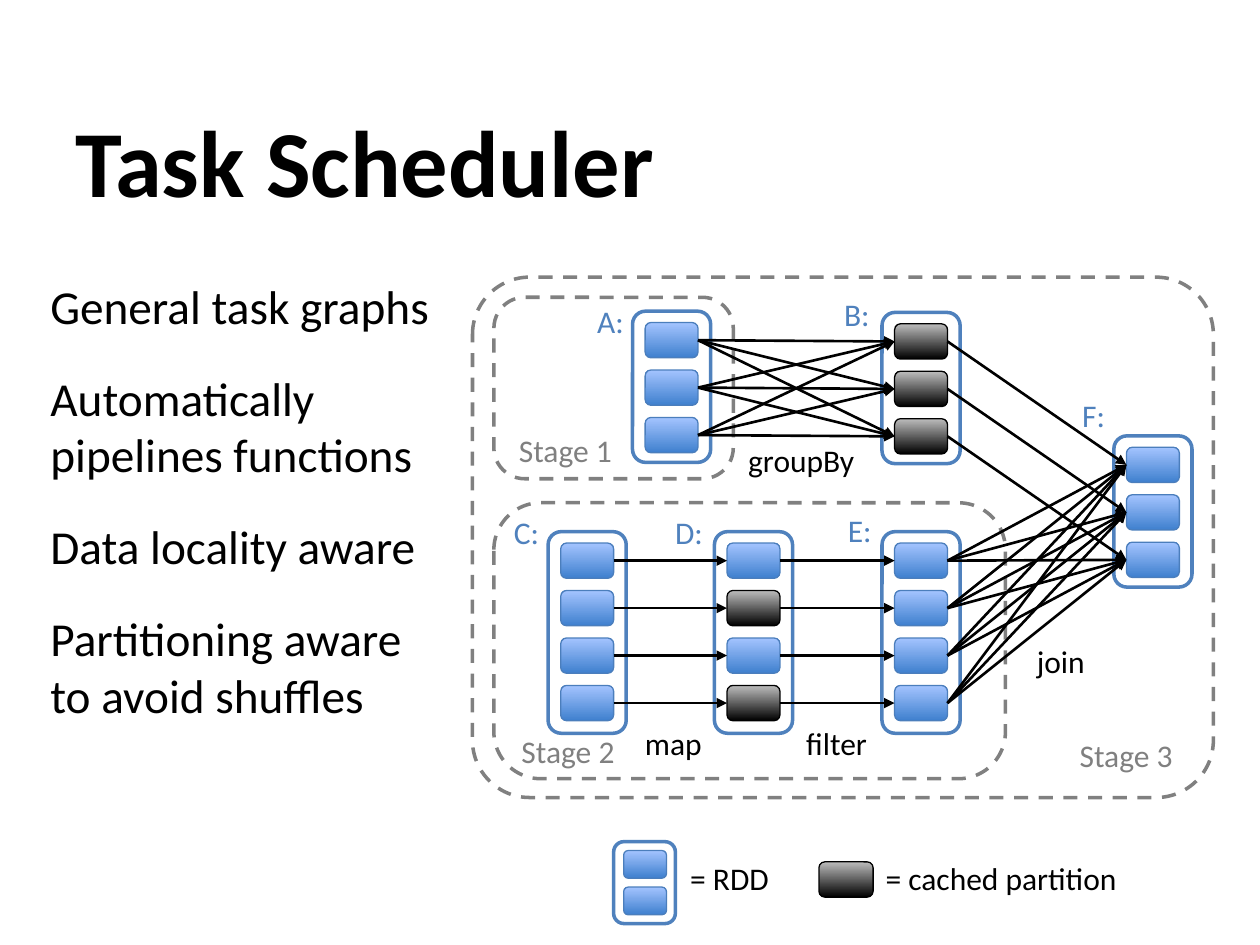
import itertools

import pptx
import pptx.dml.color
import pptx.enum.dml
import pptx.enum.shapes
import pptx.enum.text
import pptx.oxml.ns
import pptx.oxml.xmlchemy
import pptx.util

COLORS = {
    "text": "000000",
    "muted": "808080",
    "accent": "4F81BD",
    "white": "FFFFFF",
    "partition_dark": "3F80CE",
    "partition_light": "A4C4FF",
    "partition_line": "4B7EBC",
    "cached_dark": "000000",
    "cached_light": "BDBDBD",
    "cached_line": "000000",
}
FONT = "Calibri"
CELL_WIDTH, CELL_HEIGHT = 0.42, 0.28
CELL_PITCH = 1.13 / 3
ALIGN = pptx.enum.text.PP_ALIGN
ANCHOR = pptx.enum.text.MSO_ANCHOR
AUTO_SIZE = pptx.enum.text.MSO_AUTO_SIZE

RDDS = {
    "A": (5.02, 2.47, 3, ()),
    "B": (7, 2.48, 3, (0, 1, 2)),
    "C": (4.35, 4.22, 4, ()),
    "D": (5.67, 4.22, 4, (1, 3)),
    "E": (7, 4.22, 4, ()),
    "F": (8.84, 3.46, 3, ()),
}
STAGES = [
    (3.75, 2.2, 5.88, 4.13, 0.11),
    (3.92, 2.36, 1.9, 1.44, 0.17),
    (3.92, 3.99, 4.06, 2.19, 0.17),
]
LABELS = [
    ("A:", 4.64, 2.35, 0.42, "accent"),
    ("B:", 6.6, 2.29, 0.41, "accent"),
    ("C:", 3.98, 4.02, 0.41, "accent"),
    ("D:", 5.26, 4.02, 0.43, "accent"),
    ("E:", 6.63, 4.01, 0.41, "accent"),
    ("F:", 8.49, 3.09, 0.39, "accent"),
    ("Stage 1", 4.02, 3.37, 0.96, "muted"),
    ("Stage 2", 4.04, 5.76, 0.98, "muted"),
    ("Stage 3", 8.47, 5.79, 0.96, "muted"),
    ("groupBy", 5.84, 3.45, 1.07, "text"),
    ("map", 5.02, 5.7, 0.66, "text"),
    ("filter", 6.3, 5.7, 0.69, "text"),
    ("join", 8.13, 5.05, 0.59, "text"),
]
POINTS = [
    "General task graphs",
    "Automatically pipelines functions",
    "Data locality aware",
    "Partitioning aware\vto avoid shuffles",
]


def rgb(name):
    return pptx.dml.color.RGBColor.from_string(COLORS[name])


def inches(*lengths):
    return [pptx.util.Inches(length) for length in lengths]


def write_text(frame, *texts, size=18, color="text", bold=False, gap=0, anchor=ANCHOR.TOP):
    frame.vertical_anchor = anchor
    for index, text in enumerate(texts):
        paragraph = frame.add_paragraph() if index else frame.paragraphs[0]
        paragraph.text = text
        properties = paragraph._p.get_or_add_pPr()
        properties.set("marL", "0")
        properties.set("indent", "0")
        properties.append(pptx.oxml.xmlchemy.OxmlElement("a:buNone"))
        paragraph.alignment = ALIGN.LEFT
        paragraph.space_before = pptx.util.Pt(gap if index else 0)
        for run in paragraph.runs:
            run.font.name = FONT
            run.font.size = pptx.util.Pt(size)
            run.font.bold = bold
            run.font.color.rgb = rgb(color)


def fill_placeholder(placeholder, left, top, width, height, *texts, **text_format):
    placeholder.left, placeholder.top = inches(left, top)
    placeholder.width, placeholder.height = inches(width, height)
    placeholder.text_frame.word_wrap = True
    placeholder.text_frame.auto_size = AUTO_SIZE.NONE
    write_text(placeholder.text_frame, *texts, **text_format)


def add_label(shapes, text, left, top, width, color="text"):
    box = shapes.add_textbox(*inches(left, top, width, 0.4))
    box.text_frame.word_wrap = False
    box.text_frame.auto_size = AUTO_SIZE.SHAPE_TO_FIT_TEXT
    write_text(box.text_frame, text, color=color)


def add_rounded(shapes, left, top, width, height, line="accent", weight=2):
    shape = shapes.add_shape(
        pptx.enum.shapes.MSO_SHAPE.ROUNDED_RECTANGLE, *inches(left, top, width, height)
    )
    shape.shadow.inherit = False
    shape.line.color.rgb = rgb(line)
    shape.line.width = pptx.util.Pt(weight)
    return shape


def add_stage(shapes, left, top, width, height, rounding):
    shape = add_rounded(shapes, left, top, width, height, line="muted")
    shape.adjustments[0] = rounding
    shape.fill.background()
    shape.line.dash_style = pptx.enum.dml.MSO_LINE.DASH


def add_frame(shapes, left, top, width, height):
    shape = add_rounded(shapes, left, top, width, height)
    shape.fill.solid()
    shape.fill.fore_color.rgb = rgb("white")


def add_partition(shapes, left, top, width=CELL_WIDTH, height=CELL_HEIGHT, cached=False):
    kind = "cached" if cached else "partition"
    shape = add_rounded(shapes, left, top, width, height, line=f"{kind}_line", weight=0.75)
    shape.fill.gradient()
    shape.fill.gradient_angle = 90
    for stop, tone in zip(shape.fill.gradient_stops, ("dark", "light")):
        stop.color.rgb = rgb(f"{kind}_{tone}")
    return shape


def add_rdd(shapes, left, top, count, cached):
    add_frame(shapes, left, top, 0.62, 0.4 * count)
    return [
        add_partition(shapes, left + 0.1, top + 0.09 + CELL_PITCH * row, cached=row in cached)
        for row in range(count)
    ]


def add_arrow(shapes, source, target):
    connector = shapes.add_connector(
        pptx.enum.shapes.MSO_CONNECTOR.STRAIGHT,
        source.left + source.width, source.top + source.height // 2,
        target.left, target.top + target.height // 2,
    )
    connector.begin_connect(source, 3)
    connector.end_connect(target, 1)
    connector.line.color.rgb = rgb("text")
    connector.line.width = pptx.util.Pt(1.5)
    properties = connector._element.spPr
    head = pptx.oxml.xmlchemy.OxmlElement("a:tailEnd")
    head.set("type", "triangle")
    properties.find(pptx.oxml.ns.qn("a:ln")).append(head)
    properties.append(pptx.oxml.xmlchemy.OxmlElement("a:effectLst"))


def add_task_graph(slide):
    shapes = slide.shapes.add_group_shape().shapes
    for stage in STAGES:
        add_stage(shapes, *stage)
    rdds = {name: add_rdd(shapes, *layout) for name, layout in RDDS.items()}
    for source, target, pairing in (
        ("A", "B", itertools.product),
        ("B", "F", zip),
        ("C", "D", zip),
        ("D", "E", zip),
        ("E", "F", itertools.product),
    ):
        for start, end in pairing(rdds[source], rdds[target]):
            add_arrow(shapes, start, end)
    for label in LABELS:
        add_label(shapes, *label)


def add_legend(slide):
    rdd = slide.shapes.add_group_shape().shapes
    add_frame(rdd, 4.87, 6.68, 0.49, 0.65)
    for top in (6.75, 7.04):
        add_partition(rdd, 4.95, top, 0.34, 0.22)
    add_label(slide.shapes, "= RDD", 5.38, 6.77, 0.87)
    add_partition(slide.shapes, 6.5, 6.84, 0.43, cached=True)
    add_label(slide.shapes, "= cached partition", 6.93, 6.77, 2.07)


def main():
    presentation = pptx.Presentation()
    presentation.slide_width, presentation.slide_height = inches(10, 7.5)
    slide = presentation.slides.add_slide(presentation.slide_layouts[1])
    fill_placeholder(slide.shapes.title, 0.5, 0.64, 9, 1.25, "Task Scheduler",
                     size=54, bold=True, anchor=ANCHOR.MIDDLE)
    fill_placeholder(slide.placeholders[1], 0.3, 2.15, 3.45, 4.71, *POINTS, size=27, gap=20)
    add_legend(slide)
    add_task_graph(slide)
    presentation.save("out.pptx")


if __name__ == "__main__":
    main()
